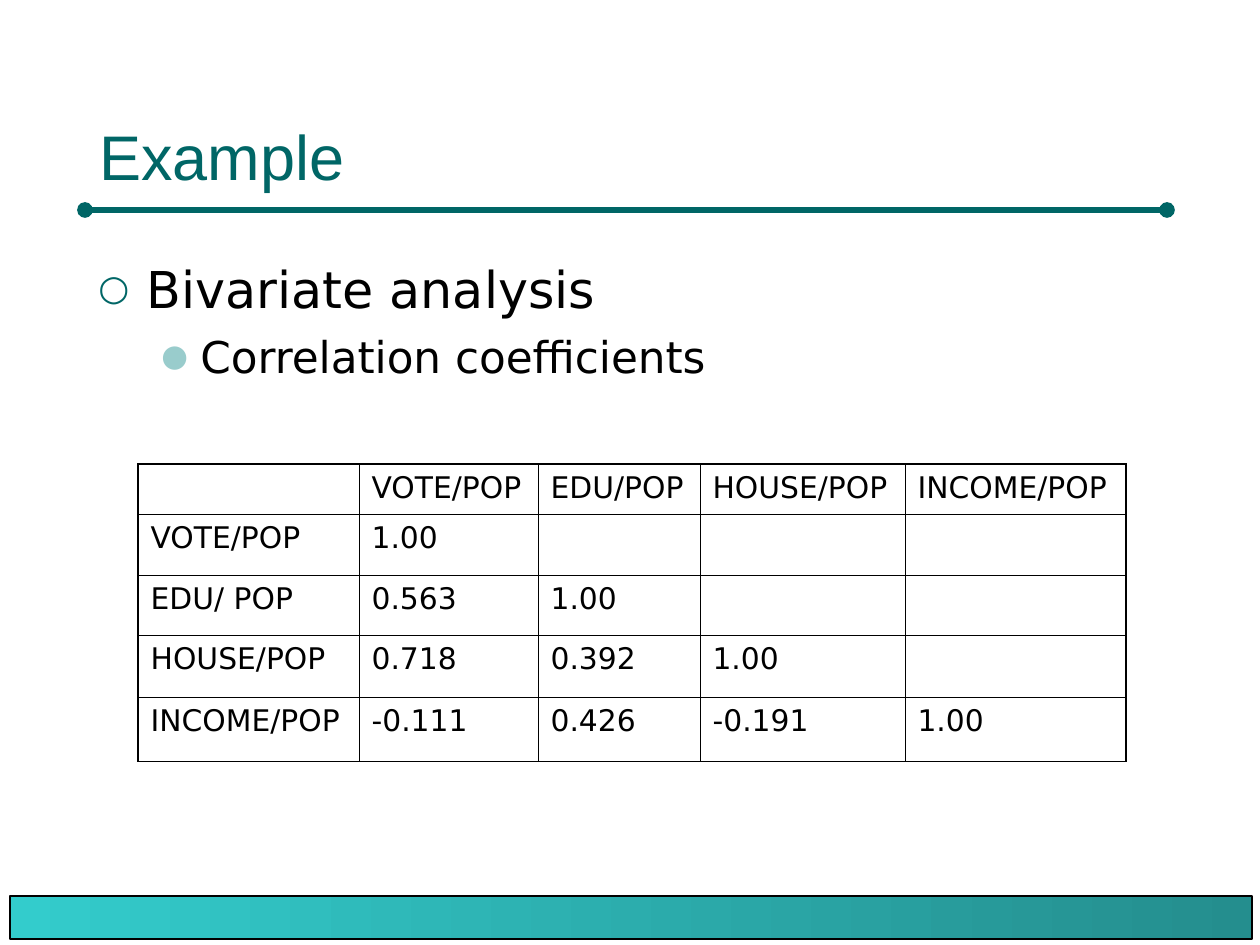
from lxml.etree import SubElement
from pptx import Presentation
from pptx.dml.color import RGBColor
from pptx.enum.shapes import MSO_CONNECTOR as Connector, MSO_SHAPE as Shape
from pptx.enum.text import MSO_ANCHOR as Anchor
from pptx.oxml.ns import qn
from pptx.util import Emu, Pt

BLACK = RGBColor(0x00, 0x00, 0x00)
TEAL = RGBColor(0x00, 0x66, 0x66)
PALE_TEAL = RGBColor(0x99, 0xCC, 0xCC)
BAND_LEFT = RGBColor(0x33, 0xCC, 0xCC)
BAND_RIGHT = RGBColor(0x24, 0x8E, 0x8E)

COLUMNS = [221, 179, 162, 205, 221]
ROWS = [49, 61, 60, 62, 64]
CORRELATIONS = [
    ["", "VOTE/POP", "EDU/POP", "HOUSE/POP", "INCOME/POP"],
    ["VOTE/POP", "1.00", "", "", ""],
    ["EDU/ POP", "0.563", "1.00", "", ""],
    ["HOUSE/POP", "0.718", "0.392", "1.00", ""],
    ["INCOME/POP", "-0.111", "0.426", "-0.191", "1.00"],
]
BULLETS = [
    ("Bivariate analysis", 29, 7.3, 48, 48, "○", TEAL),
    ("Correlation coefficients", 25, 6.2, 102, 39, "●", PALE_TEAL),
]


def px(length):
    """Turn pixels into EMU."""
    return Emu(round(length * 914400 / 126))


def add_xml(parent, tag, **attributes):
    """Append a child element with the given attributes."""
    return SubElement(parent, qn(tag), {key: str(value) for key, value in attributes.items()})


class SlideBuilder:
    """Draw styled elements on the current slide."""

    heading_font = "Arial"
    body_font = "DejaVu Sans"
    outer_border = Pt(1.08)
    inner_border = Pt(0.45)

    def __init__(self, slide):
        """Keep the slide to draw on."""
        self.slide = slide

    def style(self, span, font, size, color):
        """Format one run."""
        span.font.name = font
        span.font.size = Pt(size)
        span.font.color.rgb = color

    def rule(self, left, right, y):
        """Draw a horizontal line with round ends."""
        line = self.slide.shapes.add_connector(Connector.STRAIGHT, px(left), px(y), px(right), px(y))
        line.line.color.rgb = TEAL
        line.line.width = Pt(3)
        properties = line.element.spPr
        outline = properties.find(qn("a:ln"))
        for end in ("a:headEnd", "a:tailEnd"):
            add_xml(outline, end, type="oval")
        add_xml(properties, "a:effectLst")

    def band(self, *bounds):
        """Draw a rectangle with a horizontal gradient."""
        band = self.slide.shapes.add_shape(Shape.RECTANGLE, *map(px, bounds))
        band.shadow.inherit = False
        band.fill.gradient()
        band.fill.gradient_angle = 0
        for stop, color in zip(band.fill.gradient_stops, (BAND_LEFT, BAND_RIGHT)):
            stop.color.rgb = color
        band.line.color.rgb = BLACK
        band.line.width = Pt(0.75)

    def text_frame(self, bounds, anchor):
        """Add a wrapping text box and return its frame."""
        frame = self.slide.shapes.add_textbox(*map(px, bounds)).text_frame
        frame.word_wrap = True
        frame.vertical_anchor = anchor
        return frame

    def title(self, text, *bounds):
        """Add the slide title."""
        frame = self.text_frame(bounds, Anchor.BOTTOM)
        frame.text = text
        self.style(frame.paragraphs[0].runs[0], self.heading_font, 36, TEAL)

    def bullets(self, items, *bounds):
        """Add a bulleted list."""
        frame = self.text_frame(bounds, Anchor.TOP)
        frame.text = "\n".join(item[0] for item in items)
        for level, (para, item) in enumerate(zip(frame.paragraphs, items)):
            _, size, space, margin, hanging, mark, color = item
            para.level = level
            para.space_before = Pt(space)
            self.style(para.runs[0], self.body_font, size, BLACK)
            properties = para._p.get_or_add_pPr()
            properties.set("marL", str(px(margin)))
            properties.set("indent", str(-px(hanging)))
            add_xml(add_xml(properties, "a:buClr"), "a:srgbClr", val=color)
            add_xml(properties, "a:buSzPct", val=70000)
            add_xml(properties, "a:buFont", typeface=self.body_font)
            add_xml(properties, "a:buChar", char=mark)

    def borders(self, cell, outer_sides):
        """Draw the four borders of a cell, heavier on outer sides."""
        properties = cell._tc.get_or_add_tcPr()
        for side in "LRTB":
            width = self.outer_border if side in outer_sides else self.inner_border
            line = add_xml(properties, f"a:ln{side}", w=width)
            add_xml(add_xml(line, "a:solidFill"), "a:srgbClr", val=BLACK)

    def table(self, values, widths, heights, left, top):
        """Add a plain grid of text."""
        last_row, last_column = len(heights) - 1, len(widths) - 1
        bounds = map(px, (left, top, sum(widths), sum(heights)))
        table = self.slide.shapes.add_table(len(heights), len(widths), *bounds).table
        table.first_row = table.horz_banding = False
        for column, width in zip(table.columns, widths):
            column.width = px(width)
        for row, height in zip(table.rows, heights):
            row.height = px(height)
        for r, row in enumerate(values):
            for c, value in enumerate(row):
                cell = table.cell(r, c)
                edges = {"L": c == 0, "R": c == last_column, "T": r == 0, "B": r == last_row}
                self.borders(cell, [side for side, outer in edges.items() if outer])
                cell.fill.background()
                para = cell.text_frame.paragraphs[0]
                para.space_before = Pt(4.2)
                span = para.add_run()
                span.text = value
                self.style(span, self.body_font, 17, BLACK)


def main():
    """Build and save the deck."""
    deck = Presentation()
    deck.slide_width, deck.slide_height = px(1260), px(945)
    page = SlideBuilder(deck.slides.add_slide(deck.slide_layouts[6]))
    page.rule(85, 1167, 210)
    page.band(10, 896, 1242, 43)
    page.title("Example", 87, 42, 1081, 157)
    page.bullets(BULLETS, 86, 252, 1087, 602)
    page.table(CORRELATIONS, COLUMNS, ROWS, 138, 464)
    deck.save("out.pptx")


if __name__ == "__main__":
    main()
